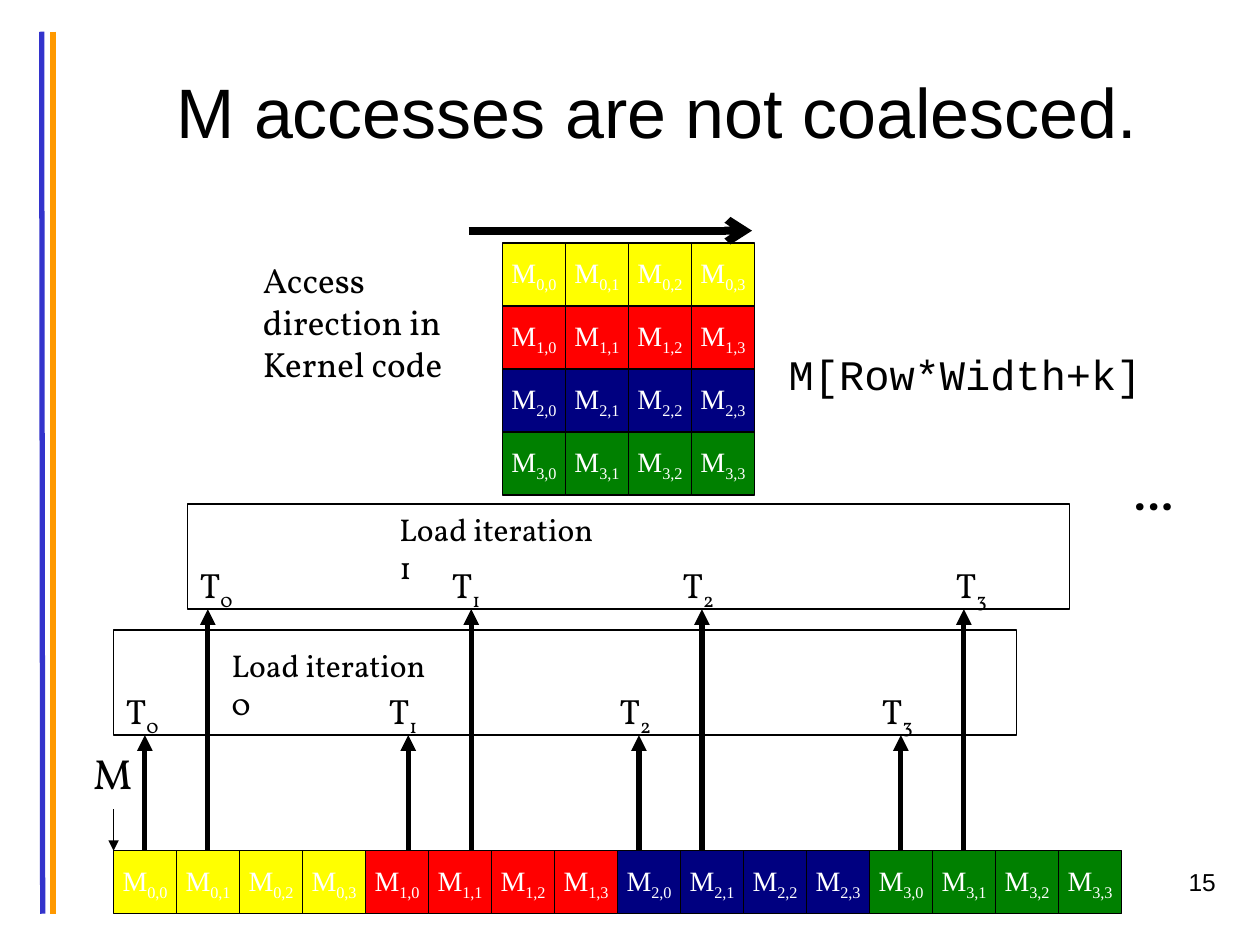
from lxml.etree import SubElement
from pptx import Presentation
from pptx.dml.color import RGBColor
from pptx.enum.shapes import MSO_CONNECTOR, MSO_SHAPE
from pptx.enum.text import MSO_ANCHOR, PP_ALIGN
from pptx.oxml.ns import qn
from pptx.util import Cm, Pt

BODY_FONT = "Vollkorn"
ROW_COLORS = ["FFFF00", "FF0000", "000080", "008000"]
CELL = 1.27
MEMORY_LEFT, MEMORY_TOP = 2.29, 17.15
MATRIX_LEFT, MATRIX_TOP = 10.13, 4.9
FRAME_HEIGHT = 2.12
ARROW_LEFTS = [2.92, 8.23, 12.88, 18.16]
ITERATIONS = [
    {"frame": (2.29, 12.7, 18.2), "label": (4.42, 12.9),
     "threads": [2.29, 7.59, 12.24, 17.53]},
    {"frame": (3.78, 10.16, 17.78), "label": (7.8, 10.16),
     "threads": [3.78, 8.86, 13.51, 19.02]},
]


def paint(target, color):
    target.rgb = RGBColor.from_string(color)


def write(frame, text, subscript="", size=20, font=BODY_FONT, color="000000",
          bold=False, align=PP_ALIGN.LEFT, anchor=MSO_ANCHOR.TOP, wrap=False):
    frame.word_wrap = wrap
    frame.vertical_anchor = anchor
    para = frame.paragraphs[0]
    para.alignment = align
    for part in filter(None, (text, subscript)):
        span = para.add_run()
        span.text = part
        span.font.size = Pt(size)
        span.font.name = font
        span.font.bold = bold
        paint(span.font.color, color)
    if subscript:
        span._r.get_or_add_rPr().set("baseline", "-25000")


def add_label(page, left, top, width, height, text, **style):
    box = page.shapes.add_textbox(Cm(left), Cm(top), Cm(width), Cm(height))
    write(box.text_frame, text, **style)


def add_rectangle(page, left, top, width, height, fill=None):
    box = page.shapes.add_shape(
        MSO_SHAPE.RECTANGLE, Cm(left), Cm(top), Cm(width), Cm(height))
    box.shadow.inherit = False
    if fill:
        box.fill.solid()
        paint(box.fill.fore_color, fill)
    else:
        box.fill.background()
    paint(box.line.color, "000000")
    box.line.width = Pt(0.75)
    return box


def add_line(page, start, end, width, color="000000", head=None):
    line = page.shapes.add_connector(
        MSO_CONNECTOR.STRAIGHT, *(Cm(value) for value in (*start, *end)))
    paint(line.line.color, color)
    line.line.width = Pt(width)
    if head:
        SubElement(line.line._get_or_add_ln(), qn("a:tailEnd"), type=head)
    SubElement(line._element.spPr, qn("a:effectLst"))


def add_cell(page, left, top, row, column):
    box = add_rectangle(page, left, top, CELL, CELL, ROW_COLORS[row])
    write(box.text_frame, "M", subscript=f"{row},{column}", size=16,
          font="Times New Roman", color="FFFFFF",
          align=PP_ALIGN.CENTER, anchor=MSO_ANCHOR.MIDDLE)


def add_title(page, text):
    title = page.shapes.title
    title.left, title.top = Cm(1.9), Cm(0.64)
    title.width, title.height = Cm(23.06), Cm(3.18)
    write(title.text_frame, text, size=40, font="Arial", wrap=True,
          align=PP_ALIGN.CENTER, anchor=MSO_ANCHOR.MIDDLE)


def add_iteration(page, number, frame, label, threads):
    left, top, width = frame
    bottom = top + FRAME_HEIGHT
    for index, (thread, arrow) in enumerate(zip(threads, ARROW_LEFTS)):
        add_label(page, thread, top + 1.07, 1.19, 1.11, "T",
                  subscript=str(index))
        x = arrow + number * CELL
        add_line(page, (x, MEMORY_TOP), (x, bottom), 3, head="triangle")
    add_label(page, *label, 4.6, 1.02, f"Load iteration {number}",
              size=18, wrap=True)
    add_rectangle(page, left, top, width, FRAME_HEIGHT)


def add_cells(page):
    for row in range(4):
        for column in range(4):
            add_cell(page, MATRIX_LEFT + column * CELL,
                     MATRIX_TOP + row * CELL, row, column)
            add_cell(page, MEMORY_LEFT + (4 * row + column) * CELL,
                     MEMORY_TOP, row, column)


def main():
    deck = Presentation()
    deck.slide_width, deck.slide_height = Cm(25.4), Cm(19.05)
    page = deck.slides.add_slide(deck.slide_layouts[5])

    add_line(page, (0.84, 0.64), (0.86, 18.42), 3, "3333CC")
    add_line(page, (1.07, 0.64), (1.07, 18.42), 3, "FF9900")
    add_title(page, "M accesses are not coalesced. ")
    add_label(page, 19.48, 17.35, 5.28, 1.27, "15", size=14, font="Arial",
              align=PP_ALIGN.RIGHT, wrap=True)

    add_line(page, (MEMORY_LEFT, 16.31), (MEMORY_LEFT, MEMORY_TOP), 0.75,
             head="triangle")
    add_label(page, 1.63, 14.94, 1.32, 1.27, "M", size=24)
    for number, iteration in enumerate(ITERATIONS):
        add_iteration(page, number, **iteration)
    add_label(page, 5.05, 5.08, 4.24, 3.63,
              "Access direction in Kernel code", wrap=True)
    add_label(page, 22.61, 9.32, 1.35, 1.27, "…", size=24, bold=True)
    add_cells(page)
    add_line(page, (9.45, 4.65), (15.16, 4.65), 4.5, head="arrow")
    add_label(page, 15.65, 6.91, 7.7, 1.27, "M[Row*Width+k]", size=24,
              font="Courier New")

    deck.save("out.pptx")


main()
